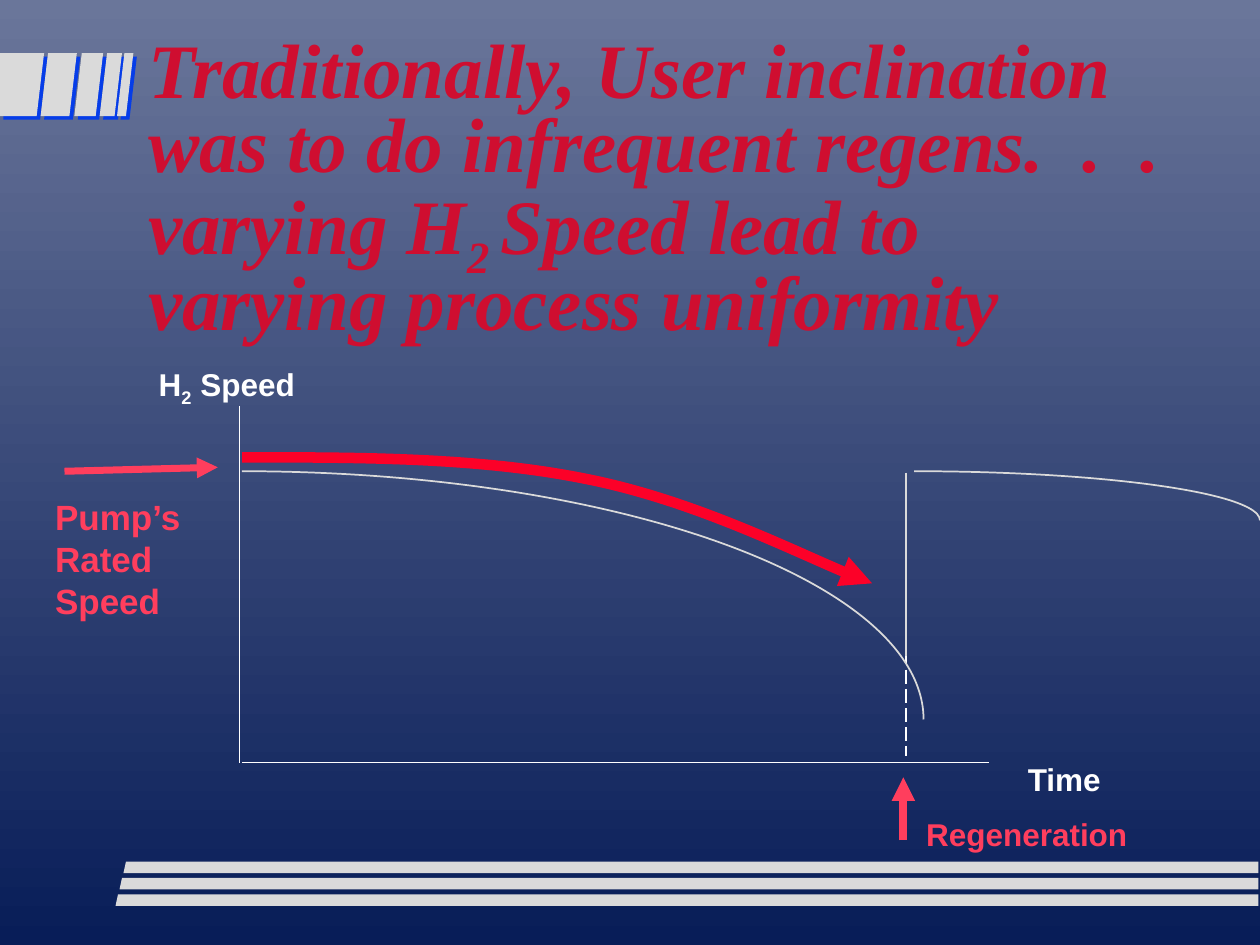
"""Build the slide on hydrogen speed falling between infrequent regenerations."""
from dataclasses import dataclass

from lxml import etree
from pptx import Presentation
from pptx.dml.color import RGBColor
from pptx.enum.dml import MSO_LINE
from pptx.enum.shapes import MSO_CONNECTOR, MSO_SHAPE
from pptx.enum.text import MSO_ANCHOR, MSO_AUTO_SIZE
from pptx.oxml.ns import qn
from pptx.util import Cm, Pt

ARC = MSO_SHAPE.ARC
STRAIGHT = MSO_CONNECTOR.STRAIGHT
LONG_DASH = MSO_LINE.LONG_DASH
BOTTOM = MSO_ANCHOR.BOTTOM
FIT_SHAPE = MSO_AUTO_SIZE.SHAPE_TO_FIT_TEXT
NO_FIT = MSO_AUTO_SIZE.NONE

COLORS = {
    "sky": "6A769A", "navy": "081D58", "silver": "DADADA", "blue": "063DE8",
    "crimson": "CF0E30", "coral": "FF3E5D", "red": "FC0128", "white": "FFFFFF",
}
Point = tuple[float, float]


@dataclass
class Label:
    """Text whose lines alternate normal and subscript spans, split by underscores."""
    text: str
    frame: tuple[float, float, float, float]
    color: str
    size: int = 18
    font: str = "Arial"
    title: bool = False


@dataclass
class Line:
    """A straight line, dashed or with an arrowhead at its end."""
    start: Point
    end: Point
    color: str = "white"
    width: float = 1
    arrow: bool = False
    dashed: bool = False


LABELS = [
    Label("Traditionally, User inclination was to do infrequent regens.  .  . "
          "varying H_2 _Speed lead to \vvarying process uniformity",
          (2.74, 3.81, 21.59, 3.28), "crimson", 44, "Times New Roman", True),
    Label("Regeneration", (18.42, 16.31, 4.57, 1.02), "coral"),
    Label("Pump’s\nRated\nSpeed", (0.86, 9.86, 3.25, 2.79), "coral", 20),
    Label("Time", (20.47, 15.19, 1.98, 1.02), "white"),
    Label("H_2_ Speed", (2.95, 7.24, 3.25, 1.12), "white"),
]
LINES = [
    Line((18.21, 16.94), (18.21, 15.67), "coral", 4.5, arrow=True),
    Line((4.88, 15.37), (19.94, 15.37)),
    Line((4.83, 8.18), (4.83, 15.39)),
    Line((18.26, 9.65), (18.26, 15.24), dashed=True),
    Line((1.3, 9.5), (4.39, 9.42), "coral", 4, arrow=True),
    Line((18.26, 9.53), (18.26, 13.23), "silver"),
]
SPEED_ARCS = [(-8.86, 9.5, 27.48, 10.01), (11.46, 9.5, 13.94, 1.98)]
TREND = [(4.88, 9.22), (7.26, 9.22), (9.65, 9.22), (11.79, 9.65),
         (13.89, 10.06), (16.61, 11.4), (17.58, 11.76)]
FLAGS = [(0, 0.89), (0.97, 1.55), (1.65, 2.08), (2.16, 2.46), (2.51, 2.69)]
FLAG_TOP, FLAG_BOTTOM, FLAG_LEAN = 1.07, 2.34, 0.15
STRIPE_TOP, STRIPE_HEIGHT, STRIPE_STEP = 17.37, 0.23, 0.33


def rgb(name: str) -> RGBColor:
    """Look up a named colour."""
    return RGBColor.from_string(COLORS[name])


def style_line(line, color: str, width: float) -> None:
    """Set the colour and width of a line."""
    line.color.rgb = rgb(color)
    line.width = Pt(width)


def add_arrowhead(shape) -> None:
    """Put a triangle at the end of a shape's line."""
    outline = shape._element.spPr.find(qn("a:ln"))
    etree.SubElement(outline, qn("a:tailEnd"), type="triangle")


def add_outline(slide, points: list[Point], close: bool):
    """Draw a shadowless freeform through the points."""
    first, *rest = [(Cm(x), Cm(y)) for x, y in points]
    builder = slide.shapes.build_freeform(*first)
    builder.add_line_segments(rest, close=close)
    shape = builder.convert_to_shape()
    shape.shadow.inherit = False
    return shape


def add_band(slide, points: list[Point]):
    """Draw a filled silver band without an outline."""
    band = add_outline(slide, points, True)
    band.fill.solid()
    band.fill.fore_color.rgb = rgb("silver")
    band.line.fill.background()
    return band


def add_flag(slide, left: float, right: float) -> None:
    """Draw one leaning flag with a hard blue shadow."""
    flag = add_band(slide, [(left, FLAG_TOP), (right, FLAG_TOP),
                            (right - FLAG_LEAN, FLAG_BOTTOM),
                            (max(left - FLAG_LEAN, 0), FLAG_BOTTOM)])
    effects = flag._element.spPr.find(qn("a:effectLst"))
    shadow = etree.SubElement(effects, qn("a:outerShdw"), blurRad="0",
                              dist=str(Pt(2.8)), dir="2700000", algn="ctr", rotWithShape="0")
    etree.SubElement(shadow, qn("a:srgbClr"), val=COLORS["blue"])


def add_stripe(slide, index: int) -> None:
    """Draw one footer stripe, each reaching further left."""
    left, top = 2.54 - 0.08 * index, STRIPE_TOP + STRIPE_STEP * index
    bottom = top + STRIPE_HEIGHT
    add_band(slide, [(left, top), (25.37, top), (25.37, bottom), (left - 0.05, bottom)])


def add_line(slide, line: Line) -> None:
    """Draw a straight line."""
    ends = [Cm(value) for value in line.start + line.end]
    connector = slide.shapes.add_connector(STRAIGHT, *ends)
    style_line(connector.line, line.color, line.width)
    if line.dashed:
        connector.line.dash_style = LONG_DASH
    if line.arrow:
        add_arrowhead(connector)
    etree.SubElement(connector._element.spPr, qn("a:effectLst"))


def add_arc(slide, frame: tuple[float, float, float, float]) -> None:
    """Draw a falling quarter ellipse."""
    arc = slide.shapes.add_shape(ARC, *map(Cm, frame))
    arc.shadow.inherit = False
    arc.fill.background()
    style_line(arc.line, "silver", 1)


def add_trend(slide) -> None:
    """Draw the thick curved arrow, joining its points as cubic curves."""
    trend = add_outline(slide, TREND, False)
    trend.fill.background()
    style_line(trend.line, "red", 6)
    add_arrowhead(trend)
    segments = list(trend._element.iter(qn("a:lnTo")))
    for start in range(0, len(segments), 3):
        outline = segments[start].getparent()
        curve = etree.SubElement(outline, qn("a:cubicBezTo"))
        for segment in segments[start:start + 3]:
            curve.append(segment[0])
            outline.remove(segment)


def add_label(slide, label: Label) -> None:
    """Write a bold label, lowering every second span."""
    box = slide.shapes.add_textbox(*map(Cm, label.frame))
    frame = box.text_frame
    frame.word_wrap = label.title
    frame.auto_size = NO_FIT if label.title else FIT_SHAPE
    if label.title:
        frame.vertical_anchor = BOTTOM
    frame.text = label.text
    for para in frame.paragraphs:
        spans = para.text.split("_")
        para.text = spans[0]
        for index, span in enumerate(spans[1:], 1):
            for part, piece in enumerate(span.split("\v")):
                if part:
                    para.add_line_break()
                run = para.add_run()
                run.text = piece
                if index % 2:
                    run.font._element.set("baseline", "-25000")
        if label.title:
            para.line_spacing = 0.8
        for run in para.runs:
            run.font.name = label.font
            run.font.size = Pt(label.size)
            run.font.bold = True
            run.font.italic = label.title
            run.font.color.rgb = rgb(label.color)


def main() -> None:
    """Assemble and save the deck."""
    deck = Presentation()
    deck.slide_width, deck.slide_height = Cm(25.4), Cm(19.05)
    slide = deck.slides.add_slide(deck.slide_layouts[6])
    backdrop = slide.background.fill
    backdrop.gradient()
    backdrop.gradient_angle = 270
    for stop, name in zip(backdrop.gradient_stops, ("sky", "navy")):
        stop.color.rgb = rgb(name)
    for left, right in FLAGS:
        add_flag(slide, left, right)
    for index in range(3):
        add_stripe(slide, index)
    for line in LINES:
        add_line(slide, line)
    for frame in SPEED_ARCS:
        add_arc(slide, frame)
    add_trend(slide)
    for label in LABELS:
        add_label(slide, label)
    deck.save("out.pptx")


if __name__ == "__main__":
    main()
